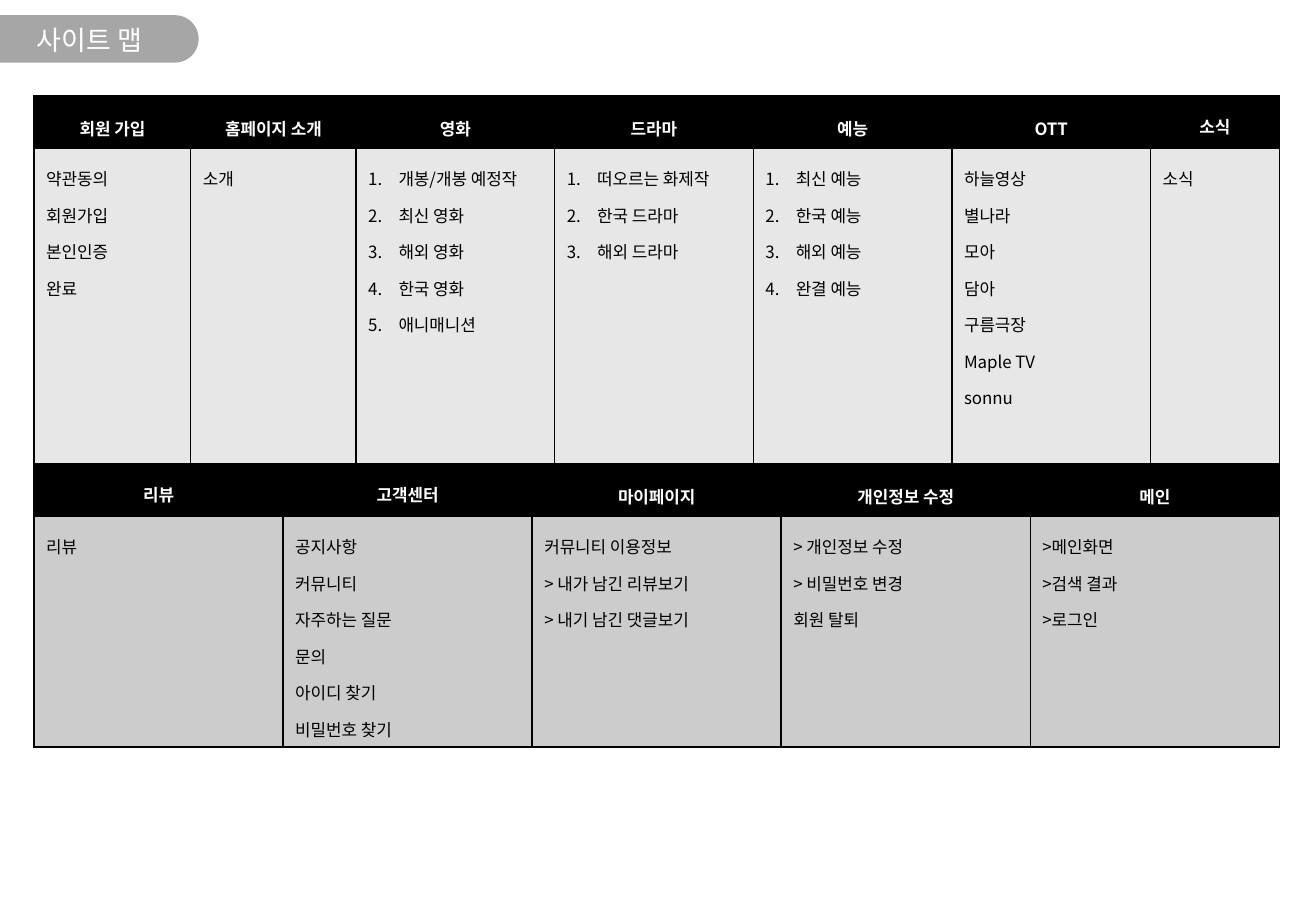
from dataclasses import dataclass

from lxml import etree
from pptx import Presentation
from pptx.dml.color import RGBColor
from pptx.enum.shapes import MSO_SHAPE
from pptx.enum.text import MSO_ANCHOR, PP_ALIGN
from pptx.oxml.ns import qn
from pptx.util import Inches, Pt

TOP, MIDDLE = MSO_ANCHOR.TOP, MSO_ANCHOR.MIDDLE
LEFT, CENTER = PP_ALIGN.LEFT, PP_ALIGN.CENTER
TAB_SHAPE = MSO_SHAPE.ROUND_2_SAME_RECTANGLE
TITLE_ONLY = 5


@dataclass(frozen=True)
class Theme:
    """Colours, font and type sizes of the site map."""

    font: str = "Noto Sans CJK KR"
    black: str = "000000"
    white: str = "FFFFFF"
    tab: str = "A6A6A6"
    upper_body: str = "E7E7E7"
    lower_body: str = "CCCCCC"
    title_size: int = 16
    table_size: int = 10
    line_spacing: float = 1.5
    border_width: int = 1


@dataclass(frozen=True)
class Section:
    """One site map column with its heading and pages."""

    heading: str
    pages: tuple
    numbered: bool = False
    anchor: MSO_ANCHOR = MIDDLE


UPPER_SECTIONS = (
    Section("회원 가입", ("약관동의", "회원가입", "본인인증", "완료")),
    Section("홈페이지 소개", ("소개",)),
    Section("영화", ("개봉/개봉 예정작", "최신 영화", "해외 영화", "한국 영화", "애니매니션"), True),
    Section("드라마", ("떠오르는 화제작", "한국 드라마", "해외 드라마"), True),
    Section("예능", ("최신 예능", "한국 예능", "해외 예능", "완결 예능"), True),
    Section("OTT", ("하늘영상", "별나라", "모아", "담아", "구름극장", "Maple TV", "sonnu")),
    Section("소식", ("소식",), anchor=TOP),
)
LOWER_SECTIONS = (
    Section("리뷰", ("리뷰",), anchor=TOP),
    Section("고객센터", ("공지사항", "커뮤니티", "자주하는 질문", "문의", "아이디 찾기", "비밀번호 찾기"), anchor=TOP),
    Section("마이페이지", ("커뮤니티 이용정보", "> 내가 남긴 리뷰보기", "> 내기 남긴 댓글보기")),
    Section("개인정보 수정", ("> 개인정보 수정", "> 비밀번호 변경", "회원 탈퇴")),
    Section("메인", (">메인화면", ">검색 결과", ">로그인")),
)


def apply_format(target, values):
    """Set each attribute in values on the target."""
    for name, value in values.items():
        setattr(target, name, value)


class SiteMapSlide:
    """Draws elements on the current slide in one theme."""

    def __init__(self, slide, theme):
        """Keep the slide and its theme."""
        self.slide = slide
        self.theme = theme

    def add_lines(self, text_frame, lines, size, color, bold=False, alignment=LEFT, spacing=1.0):
        """Add one paragraph per line."""
        for index, line in enumerate(lines):
            paragraph = text_frame.add_paragraph() if index else text_frame.paragraphs[0]
            apply_format(paragraph, {"alignment": alignment, "line_spacing": spacing})
            run = paragraph.add_run()
            run.text = line
            apply_format(run.font, {"name": self.theme.font, "size": Pt(size), "bold": bold})
            run.font.color.rgb = RGBColor.from_string(color)
            properties = run._r.get_or_add_rPr()
            etree.SubElement(properties, qn("a:ea"), typeface=self.theme.font)

    def number(self, text_frame):
        """Number the paragraphs with a hanging indent."""
        for paragraph in text_frame.paragraphs:
            properties = paragraph._p.get_or_add_pPr()
            properties.set("marL", str(Inches(0.25)))
            properties.set("indent", str(-Inches(0.25)))
            etree.SubElement(properties, qn("a:buAutoNum"), type="arabicPeriod")

    def title(self, text):
        """Place the title over its rounded tab."""
        title = self.slide.shapes.title
        apply_format(title, {
            "left": Inches(-0.01), "top": Inches(0.13),
            "width": Inches(1.49), "height": Inches(0.39),
        })
        apply_format(title.text_frame, {"vertical_anchor": MIDDLE, "word_wrap": True})
        self.add_lines(title.text_frame, (text,), self.theme.title_size, self.theme.white, alignment=CENTER)

        tab = self.slide.shapes.add_shape(
            TAB_SHAPE, Inches(0.62), Inches(-0.5), Inches(0.39), Inches(1.64))
        tab.rotation = 270
        tab.adjustments[0], tab.adjustments[1] = 0, 0.5
        tab.shadow.inherit = False
        tab.fill.solid()
        tab.fill.fore_color.rgb = RGBColor.from_string(self.theme.tab)
        tab.line.fill.background()
        title.element.addprevious(tab.element)

    def cell_style(self, cell, color):
        """Give a cell its borders and fill."""
        properties = cell._tc.get_or_add_tcPr()
        for side in ("a:lnL", "a:lnR", "a:lnT", "a:lnB"):
            line = etree.SubElement(properties, qn(side), w=str(Pt(self.theme.border_width)))
            fill = etree.SubElement(line, qn("a:solidFill"))
            etree.SubElement(fill, qn("a:srgbClr"), val=self.theme.black)
        cell.fill.solid()
        cell.fill.fore_color.rgb = RGBColor.from_string(color)

    def table(self, sections, top, widths, heights, body_color):
        """Add a table with a heading and a page list per section."""
        theme = self.theme
        table = self.slide.shapes.add_table(
            len(heights), len(sections), Inches(0.28), Inches(top),
            Inches(sum(widths)), Inches(sum(heights))).table
        apply_format(table, {"first_row": False, "horz_banding": False})
        for row, height in zip(table.rows, heights):
            row.height = Inches(height)
        for index, (section, width) in enumerate(zip(sections, widths)):
            table.columns[index].width = Inches(width)
            heading, body = table.cell(0, index), table.cell(1, index)
            self.cell_style(heading, theme.black)
            self.cell_style(body, body_color)
            heading.vertical_anchor = section.anchor
            self.add_lines(heading.text_frame, (section.heading,), theme.table_size,
                           theme.white, True, CENTER, theme.line_spacing)
            self.add_lines(body.text_frame, section.pages, theme.table_size,
                           theme.black, spacing=theme.line_spacing)
            if section.numbered:
                self.number(body.text_frame)


def main():
    """Build and save the site map."""
    presentation = Presentation()
    apply_format(presentation, {"slide_width": Inches(10.83), "slide_height": Inches(7.5)})
    slide = presentation.slides.add_slide(presentation.slide_layouts[TITLE_ONLY])
    theme = Theme()
    site_map = SiteMapSlide(slide, theme)
    site_map.title("사이트 맵")
    table_width = 10.25
    first, second, last = 1.29, 1.36, 1.06
    middle = (table_width - first - second - last) / 4
    site_map.table(UPPER_SECTIONS, 0.79, [first, second, *[middle] * 4, last],
                   [0.43, 2.75], theme.upper_body)
    site_map.table(LOWER_SECTIONS, 3.82, [table_width / 5] * 5,
                   [0.43, 1.9], theme.lower_body)
    presentation.save("out.pptx")


if __name__ == "__main__":
    main()
